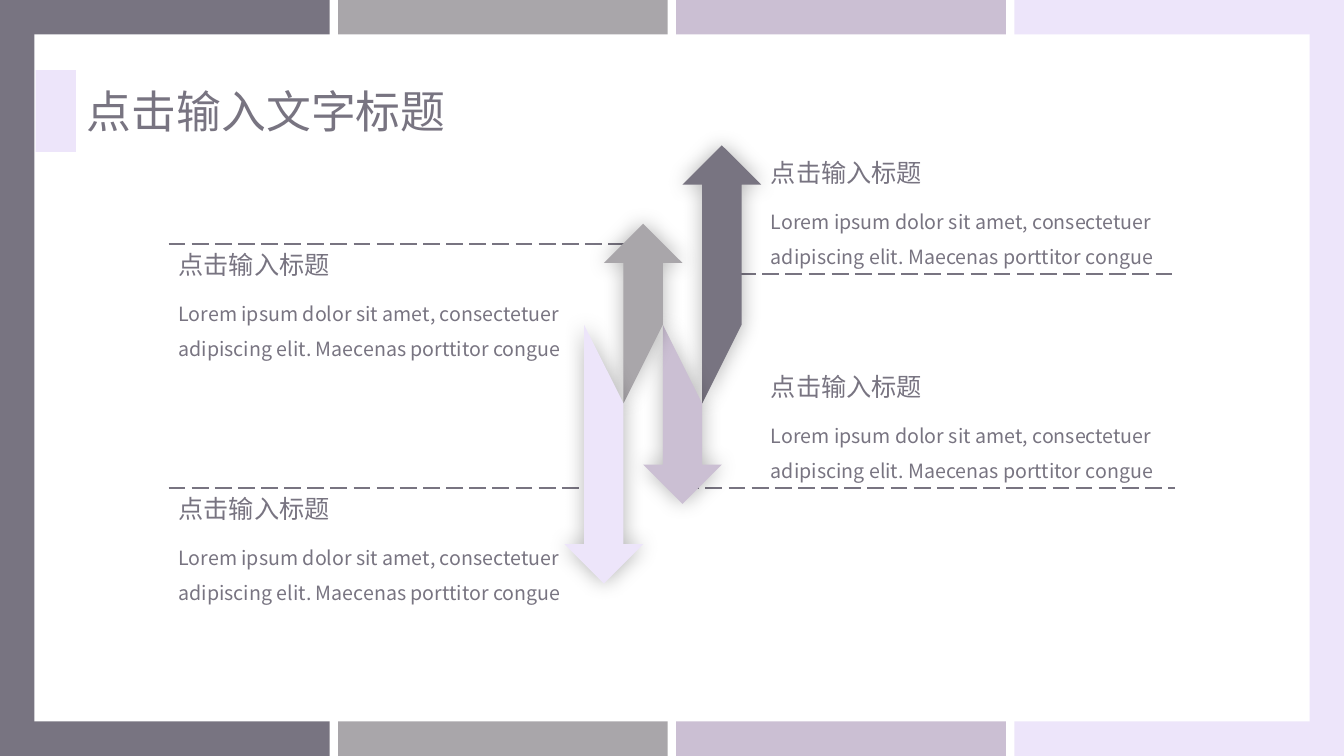
from lxml.etree import SubElement
from pptx import Presentation
from pptx.dml.color import RGBColor
from pptx.enum.dml import MSO_LINE
from pptx.enum.shapes import MSO_CONNECTOR, MSO_SHAPE
from pptx.enum.text import MSO_ANCHOR, MSO_AUTO_SIZE, PP_ALIGN
from pptx.oxml.ns import qn
from pptx.util import Pt

SLATE = RGBColor(0x78, 0x74, 0x81)
GREY = RGBColor(0xA9, 0xA6, 0xAA)
MAUVE = RGBColor(0xCB, 0xBF, 0xD3)
LILAC = RGBColor(0xED, 0xE5, 0xFA)
WHITE = RGBColor(0xFF, 0xFF, 0xFF)

HEADING = "点击输入标题"
BODY = ("Lorem ipsum dolor sit amet, consectetuer adipiscing elit. "
        "Maecenas porttitor congue")


class Deck:
    font = "Noto Sans CJK SC"
    ink = SLATE
    arrow_step = 28.1

    def __init__(self, s):
        self.s = s

    def paint(self, sp, color):
        sp.shadow.inherit = False
        sp.fill.solid()
        sp.fill.fore_color.rgb = color
        sp.line.fill.background()

    def rect(self, x, y, w, h, color):
        sp = self.s.shapes.add_shape(MSO_SHAPE.RECTANGLE, Pt(x), Pt(y), Pt(w), Pt(h))
        self.paint(sp, color)

    def set_text(self, tf, text, size, spacing=1.0):
        tf.word_wrap = True
        tf.auto_size = MSO_AUTO_SIZE.NONE
        tf.vertical_anchor = MSO_ANCHOR.TOP
        tf.text = text
        p = tf.paragraphs[0]
        p.alignment = PP_ALIGN.LEFT
        p.line_spacing = spacing
        r = p.runs[0]
        r.font.size = Pt(size)
        r.font.name = self.font
        r.font.color.rgb = self.ink
        ea = SubElement(r.font._element, qn("a:ea"))
        ea.set("typeface", self.font)

    def title(self, text, x, y, w, h):
        sp = self.s.shapes.title
        sp.left, sp.top, sp.width, sp.height = Pt(x), Pt(y), Pt(w), Pt(h)
        self.set_text(sp.text_frame, text, 32)
        self.s.shapes.element.append(sp.element)

    def text(self, text, x, y, w, h, size, spacing=1.0):
        sp = self.s.shapes.add_textbox(Pt(x), Pt(y), Pt(w), Pt(h))
        self.set_text(sp.text_frame, text, size, spacing)

    def dashes(self, x1, x2, y):
        c = self.s.shapes.add_connector(
            MSO_CONNECTOR.STRAIGHT, Pt(x1), Pt(y), Pt(x2), Pt(y))
        c.line.color.rgb = self.ink
        c.line.width = Pt(1.5)
        c.line.dash_style = MSO_LINE.LONG_DASH
        SubElement(c.element.spPr, qn("a:effectLst"))

    def item(self, x, y, line_x1, line_x2, line_y):
        self.dashes(line_x1, line_x2, line_y)
        self.text(HEADING, x, y, 240.5, 29, 18)
        self.text(BODY, x, y + 29.2, 296.3, 55, 14, 1.5)

    def arrow(self, x, tip, up, color):
        head = self.arrow_step
        half = head / 2
        neck = tip + head if up else tip - head
        left, right = (288.2, 232) if up else (232, 288.2)
        points = [(x, tip), (x + head, neck), (x + half, neck), (x + half, right),
                  (x - half, left), (x - half, neck), (x - head, neck)]
        points = [(Pt(px), Pt(py)) for px, py in points]
        fb = self.s.shapes.build_freeform(*points[0])
        fb.add_line_segments(points[1:], close=True)
        sp = fb.convert_to_shape()
        self.paint(sp, color)
        self.glow(sp)

    def glow(self, sp):
        effects = sp.element.spPr.find(qn("a:effectLst"))
        shadow = SubElement(effects, qn("a:outerShdw"), blurRad=str(int(Pt(15))),
                            dist="0", dir="0", algn="ctr", rotWithShape="0")
        black = SubElement(shadow, qn("a:srgbClr"), val="000000")
        SubElement(black, qn("a:alpha"), val="30000")


def main():
    prs = Presentation()
    prs.slide_width, prs.slide_height = Pt(960), Pt(540)
    deck = Deck(prs.slides.add_slide(prs.slide_layouts[5]))

    for i, color in enumerate((SLATE, GREY, MAUVE, LILAC)):
        deck.rect(i * 241.5, 0, 235.5, 540, color)
    deck.rect(24.6, 24.6, 910.8, 490.8, WHITE)

    right, left = 543.6, 120.4
    deck.item(right, 108.5, 528, 839.5, 195.8)
    deck.item(left, 174.4, left, 447.8, 174.4)
    deck.item(right, 261.4, 487.4, 839.5, 348.9)
    deck.item(left, 348.6, left, 431.3, 348.6)

    arrows = [(103.8, True, SLATE), (360, False, MAUVE),
              (159.8, True, GREY), (416.8, False, LILAC)]
    for i, (tip, up, color) in enumerate(arrows):
        deck.arrow(515.6 - i * deck.arrow_step, tip, up, color)

    deck.rect(25.4, 50.2, 28.8, 58.4, LILAC)
    deck.title("点击输入文字标题", 54.9, 56.2, 330.5, 46)
    prs.save("out.pptx")


if __name__ == "__main__":
    main()
